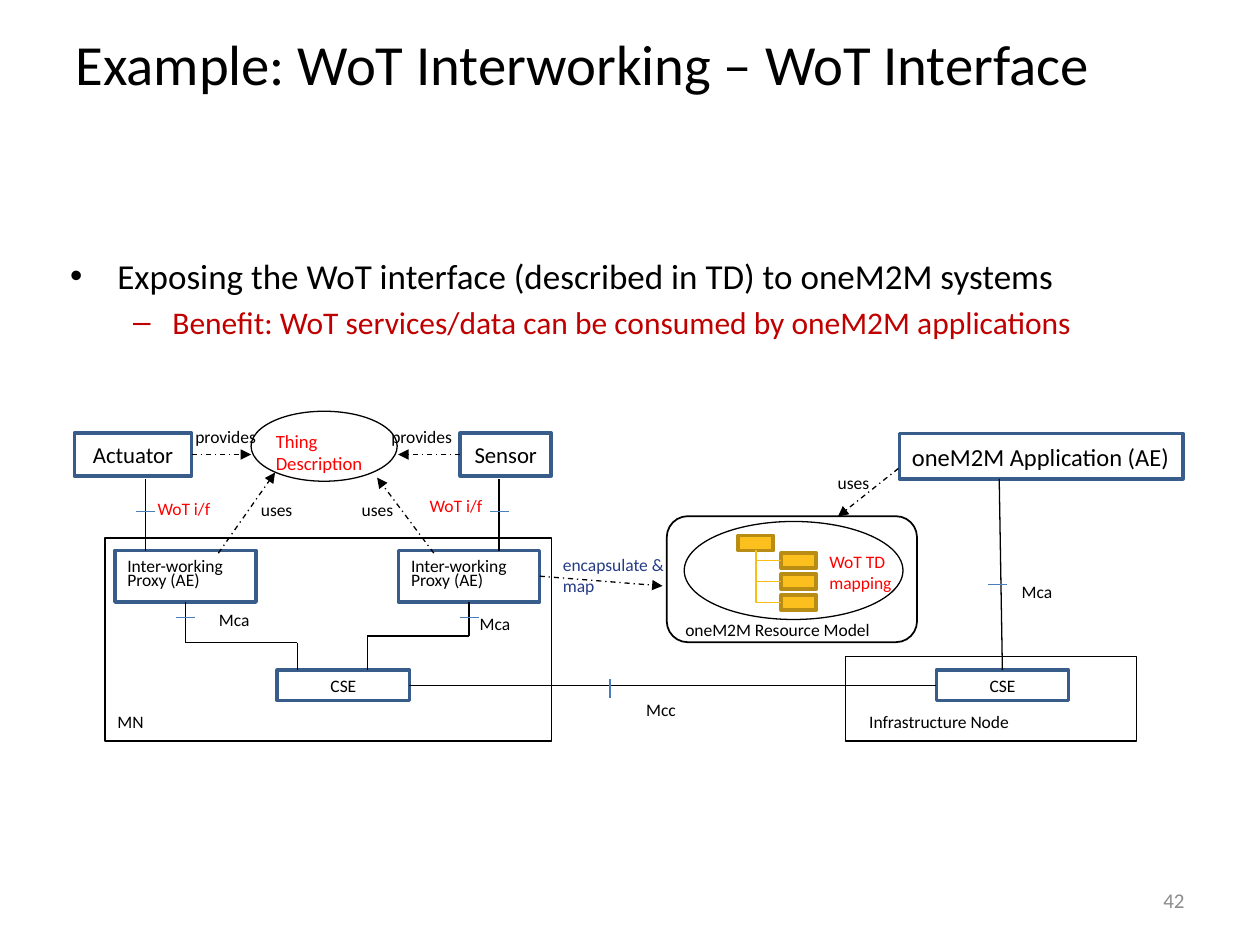
from dataclasses import dataclass

from lxml import etree
from pptx import Presentation
from pptx.dml.color import RGBColor
from pptx.enum.dml import MSO_LINE
from pptx.enum.shapes import MSO_CONNECTOR, MSO_SHAPE
from pptx.enum.text import MSO_ANCHOR, PP_ALIGN
from pptx.oxml.ns import qn
from pptx.util import Pt

RECT, ROUNDED, OVAL = MSO_SHAPE.RECTANGLE, MSO_SHAPE.ROUNDED_RECTANGLE, MSO_SHAPE.OVAL
STRAIGHT, ELBOW = MSO_CONNECTOR.STRAIGHT, MSO_CONNECTOR.ELBOW
DASH_DOT = MSO_LINE.DASH_DOT
LEFT, CENTER, RIGHT = PP_ALIGN.LEFT, PP_ALIGN.CENTER, PP_ALIGN.RIGHT
TOP, MIDDLE = MSO_ANCHOR.TOP, MSO_ANCHOR.MIDDLE
SIDE_TOP, SIDE_LEFT, SIDE_BOTTOM, SIDE_RIGHT = range(4)


@dataclass(frozen=True)
class Theme:
    font: str = "Calibri"
    ink: str = "000000"
    accent: str = "FF0000"
    benefit: str = "C00000"
    mapping: str = "263B86"
    node: str = "385D8A"
    tick: str = "4A7EBB"
    resource_fill: str = "FBC01E"
    resource_line: str = "B98C13"
    tree: str = "FBBE18"
    muted: str = "8C8C8C"
    title: float = 32.4
    bullet: float = 20
    sub_bullet: float = 18
    application: float = 14
    thing: float = 13
    page: float = 12
    description: float = 10.7
    label: float = 10


THEME = Theme()


@dataclass(frozen=True)
class Box:
    x: float
    y: float
    w: float
    h: float

    def area(self, dx, dy, w, h):
        return Box(self.x + dx, self.y + dy, w, h)

    def point(self, dx, dy):
        return self.x + dx, self.y + dy

    def emu(self):
        return Pt(self.x), Pt(self.y), Pt(self.w), Pt(self.h)


def write(frame, text, size=THEME.label, color=THEME.ink, align=LEFT, anchor=TOP,
          wrap=True, spacing=None, insets=(7.2, 3.6)):
    frame.word_wrap = wrap
    frame.vertical_anchor = anchor
    frame.margin_left = frame.margin_right = Pt(insets[0])
    frame.margin_top = frame.margin_bottom = Pt(insets[1])
    for index, line in enumerate(text.split("\n")):
        paragraph = frame.paragraphs[0] if index == 0 else frame.add_paragraph()
        paragraph.alignment = align
        if spacing:
            paragraph.line_spacing = Pt(spacing)
        run = paragraph.add_run()
        run.text = line
        run.font.name, run.font.size = THEME.font, Pt(size)
        run.font.color.rgb = RGBColor.from_string(color)


def label(slide, box, text, **fmt):
    frame = slide.shapes.add_textbox(*box.emu()).text_frame
    write(frame, text, **fmt)
    return frame


def outline(slide, box, kind=RECT, color=THEME.ink, weight=0.75, fill=None):
    shape = slide.shapes.add_shape(kind, *box.emu())
    shape.shadow.inherit = False
    if fill:
        shape.fill.solid()
        shape.fill.fore_color.rgb = RGBColor.from_string(fill)
    else:
        shape.fill.background()
    shape.line.color.rgb = RGBColor.from_string(color)
    shape.line.width = Pt(weight)
    return shape


def node(slide, box, text, **fmt):
    shape = outline(slide, box, color=THEME.node, weight=2)
    write(shape.text_frame, text, **{"align": CENTER, "anchor": MIDDLE, **fmt})
    return shape


def link(slide, start, end, color=THEME.ink, weight=0.75, kind=STRAIGHT, arrow=False,
         begin=None, finish=None):
    line = slide.shapes.add_connector(kind, *map(Pt, (*start, *end)))
    line.line.color.rgb = RGBColor.from_string(color)
    line.line.width = Pt(weight)
    properties = line._element.spPr
    if arrow:
        line.line.dash_style = DASH_DOT
        etree.SubElement(properties.find(qn("a:ln")), qn("a:tailEnd"), type="triangle")
    etree.SubElement(properties, qn("a:effectLst"))
    if kind == ELBOW:
        properties.find(qn("a:prstGeom")).set("prst", "bentConnector2")
    if begin:
        line.begin_connect(*begin)
    if finish:
        line.end_connect(*finish)


def tick(slide, x, y, dx=5.4, dy=0):
    link(slide, (x - dx, y - dy), (x + dx, y + dy), color=THEME.tick)


def heading(slide, box):
    label(slide, box.area(0, 0, 624, 81), "Example: WoT Interworking – WoT Interface", size=THEME.title)
    frame = label(slide, box.area(-3, 129, 648, 78),
                  "Exposing the WoT interface (described in TD) to oneM2M systems", size=THEME.bullet)
    benefit = frame.add_paragraph()
    benefit.level = 1
    benefit.space_before = Pt(3.6)
    run = benefit.add_run()
    run.text = "Benefit: WoT services/data can be consumed by oneM2M applications"
    run.font.name, run.font.size = THEME.font, Pt(THEME.sub_bullet)
    run.font.color.rgb = RGBColor.from_string(THEME.benefit)
    for paragraph, mark, margin, hang in zip(frame.paragraphs, "•–", (27, 58.5), (27, 22.5)):
        properties = paragraph._p.get_or_add_pPr()
        properties.set("marL", str(Pt(margin)))
        properties.set("indent", str(-Pt(hang)))
        etree.SubElement(properties, qn("a:buFont"), typeface="Arial")
        etree.SubElement(properties, qn("a:buChar"), char=mark)


def things(slide, box):
    actuator = node(slide, box.area(0, 12.5, 67, 24.5), "Actuator", size=THEME.thing, wrap=False)
    sensor = node(slide, box.area(220.5, 12.5, 52, 24.5), "Sensor", size=THEME.thing, wrap=False)
    outline(slide, box.area(101, 0, 83.5, 40), OVAL)
    label(slide, box.area(108, 7, 76.5, 22), "Thing Description",
          size=THEME.description, color=THEME.accent)
    for thing, side, start, end, label_x in ((actuator, SIDE_RIGHT, 67, 101, 62),
                                             (sensor, SIDE_LEFT, 220.5, 185, 174)):
        link(slide, box.point(start, 24.75), box.point(end, 24.75), arrow=True, begin=(thing, side))
        label(slide, box.area(label_x, 5, 59, 16), "provides")


def middle_node(slide, box):
    outline(slide, box)
    label(slide, box.area(0, 95, 127, 14), "MN")
    cse = node(slide, box.area(98.4, 75.5, 75.6, 17.3), "CSE")
    proxies = []
    for left, turn, drop, label_x, label_y in ((5.7, 59.7, 110, 58, 36.7),
                                               (167.8, 56, 150, 207, 39.5)):
        proxy = node(slide, box.area(left, 7, 80.6, 29.5), "Inter-working Proxy (AE)",
                     align=LEFT, spacing=8)
        center = left + 40.3
        link(slide, box.point(center, 36.5), box.point(center, turn), begin=(proxy, SIDE_BOTTOM))
        link(slide, box.point(center, turn), box.point(drop, turn))
        link(slide, box.point(drop, turn), box.point(drop, 75.5))
        tick(slide, *box.point(center, 45.3))
        label(slide, box.area(label_x, label_y, 71, 12), "Mca")
        proxies.append(proxy)
    return proxies[1], cse


def thing_interfaces(slide, box):
    for x, text_x, text_y in ((0, 0, 7.2), (202.2, 155.5, 5.8)):
        link(slide, box.point(x, 41), box.point(x, 0))
        tick(slide, *box.point(x, 18.7))
        label(slide, box.area(text_x, text_y, 81, 16), "WoT i/f", color=THEME.accent)
    for start, end, text_x in (((41.8, 42.5), (74.2, -3.6), 59),
                               ((164.9, 42.5), (132.5, -0.7), 116.6)):
        link(slide, box.point(*start), box.point(*end), arrow=True)
        label(slide, box.area(text_x, 8.3, 37, 16), "uses")


def resource_model(slide, box):
    outline(slide, box, ROUNDED, weight=1)
    outline(slide, box.area(10, 3, 125, 56), OVAL)
    label(slide, box.area(3.5, 55, 129, 17), "oneM2M Resource Model")
    label(slide, box.area(88, 17, 63, 31), "WoT TD\nmapping", color=THEME.accent, insets=(5, 3))
    block = {"color": THEME.resource_line, "weight": 2.25, "fill": THEME.resource_fill}
    root = outline(slide, box.area(41, 11, 20, 8.6), **block)
    for row in range(3):
        top = 21 + 12 * row
        child = outline(slide, box.area(65.5, top, 20, 8.6), **block)
        link(slide, box.point(65.5, top + 4.3), box.point(51, 19.6), kind=ELBOW,
             color=THEME.tree, weight=1, begin=(child, SIDE_LEFT), finish=(root, SIDE_BOTTOM))


def infrastructure_node(slide, box):
    outline(slide, box)
    label(slide, box.area(6.6, 27.5, 111, 13), "Infrastructure Node")
    return node(slide, box.area(52, 8, 75.6, 17.3), "CSE")


def application(slide, box, cse):
    node(slide, box, "oneM2M Application (AE)", size=THEME.application, align=LEFT, wrap=False)
    link(slide, box.point(56, 135), box.point(57, 26), begin=(cse, SIDE_TOP))
    tick(slide, *box.point(56, 86.3))
    label(slide, box.area(62.7, 80.5, 38, 12), "Mca")
    link(slide, box.point(-0.6, 20), box.point(-35.2, 47.5), arrow=True)
    label(slide, box.area(-42.4, 18.7, 37, 16), "uses")


def system_links(slide, box, proxy, middle_cse, infrastructure_cse):
    link(slide, box.point(-6, 16), box.point(64, 21.6), arrow=True, begin=(proxy, SIDE_RIGHT))
    label(slide, box.area(0, 0, 73, 30), "encapsulate & map", color=THEME.mapping)
    link(slide, box.point(-81, 78), box.point(220, 78),
         begin=(middle_cse, SIDE_RIGHT), finish=(infrastructure_cse, SIDE_LEFT))
    tick(slide, *box.point(34, 80.3), dx=0, dy=5.4)
    label(slide, box.area(47.6, 82.8, 36, 11), "Mcc")


def main():
    deck = Presentation()
    deck.slide_width, deck.slide_height = Pt(720), Pt(540)
    slide = deck.slides.add_slide(deck.slide_layouts[6])
    heading(slide, Box(36, 13, 648, 207))
    things(slide, Box(42.5, 235, 272.5, 40))
    proxy, middle_cse = middle_node(slide, Box(60, 307.5, 255, 116))
    thing_interfaces(slide, Box(83, 273.6, 202, 41))
    resource_model(slide, Box(381, 295, 143, 72))
    infrastructure_cse = infrastructure_node(slide, Box(483, 375, 166.5, 48.5))
    application(slide, Box(514, 247.7, 162, 26), infrastructure_cse)
    system_links(slide, Box(314.6, 313.2, 220, 94), proxy, middle_cse, infrastructure_cse)
    label(slide, Box(516, 500, 168, 29), "42", size=THEME.page, color=THEME.muted,
          align=RIGHT, anchor=MIDDLE)
    deck.save("out.pptx")


if __name__ == "__main__":
    main()
